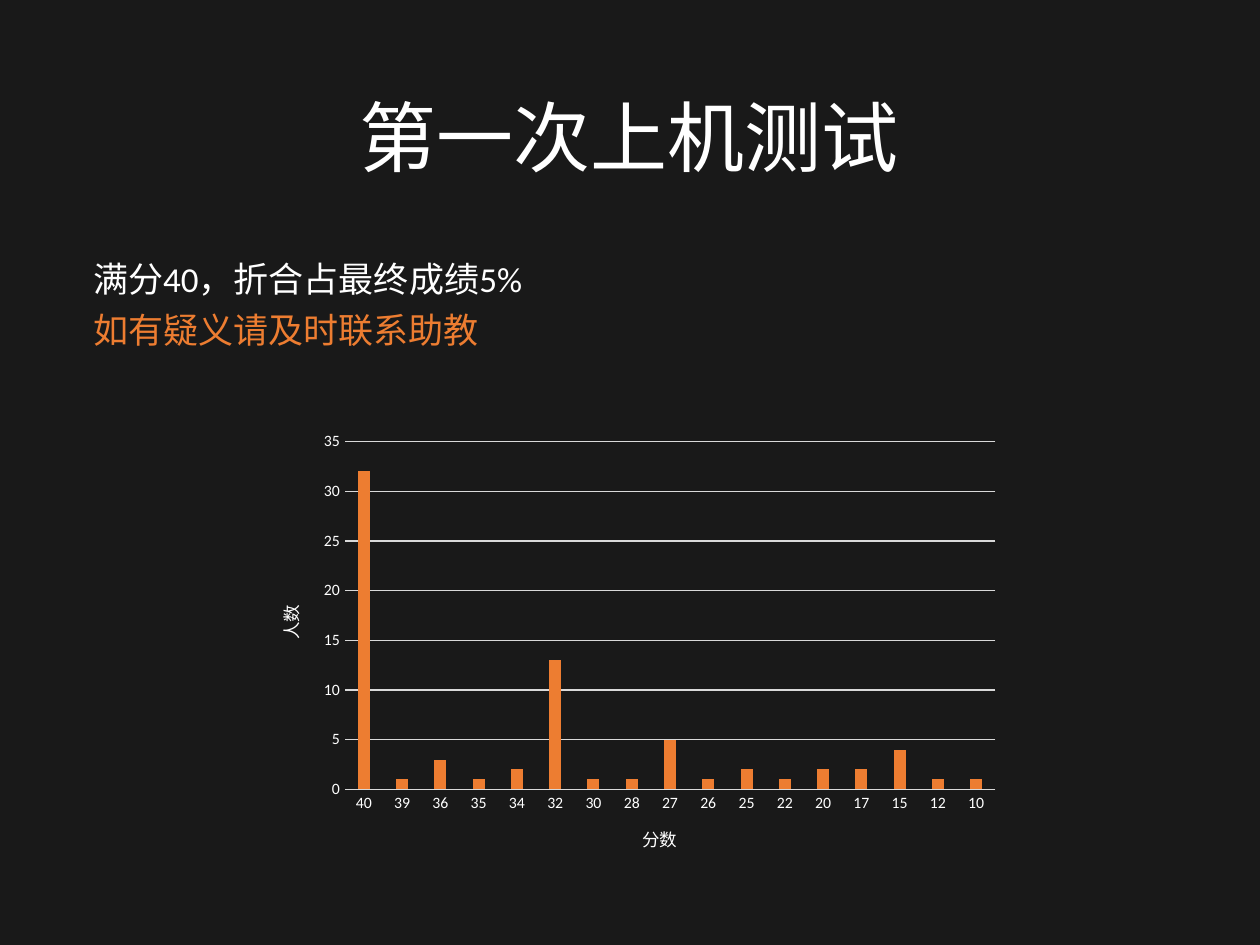
from pptx import Presentation
from pptx.chart.data import CategoryChartData
from pptx.dml.color import RGBColor
from pptx.enum.chart import XL_CHART_TYPE, XL_TICK_MARK
from pptx.enum.text import MSO_ANCHOR, PP_ALIGN
from pptx.util import Inches, Pt

COLUMN = XL_CHART_TYPE.COLUMN_CLUSTERED
NO_TICK = XL_TICK_MARK.NONE
MIDDLE = MSO_ANCHOR.MIDDLE
LEFT, CENTER = PP_ALIGN.LEFT, PP_ALIGN.CENTER

WIDE, HIGH = 10, 7.5
FACE = "Calibri"
DARK, WHITE, GRAY, ORANGE = "191919", "FFFFFF", "D9D9D9", "ED7D31"

SCORES = [40, 39, 36, 35, 34, 32, 30, 28, 27, 26, 25, 22, 20, 17, 15, 12, 10]
COUNTS = [32, 1, 3, 1, 2, 13, 1, 1, 5, 1, 2, 1, 2, 2, 4, 1, 1]


def paint(color, code):
    color.rgb = RGBColor.from_string(code)


def fill_in(fill, code):
    fill.solid()
    paint(fill.fore_color, code)


def set_font(font, size, code=WHITE):
    font.name = FACE
    font.size = Pt(size)
    font.bold = False
    paint(font.color, code)


def set_line(line, code):
    line.width = Pt(0.75)
    paint(line.color, code)


def add_text(slide, box, rows, size, space, align):
    frame = slide.shapes.add_textbox(*map(Inches, box)).text_frame
    frame.word_wrap = True
    frame.vertical_anchor = MIDDLE
    for i, (words, code) in enumerate(rows):
        para = frame.add_paragraph() if i else frame.paragraphs[0]
        para.text = words
        para.alignment = align
        para.line_spacing = space
        set_font(para.font, size, code)


def style_axis(axis, title):
    axis.major_tick_mark = axis.minor_tick_mark = NO_TICK
    set_font(axis.tick_labels.font, 9)
    frame = axis.axis_title.text_frame
    frame.text = title
    set_font(frame.paragraphs[0].font, 10)


def add_bars(slide, box):
    data = CategoryChartData()
    data.categories = [str(score) for score in SCORES]
    data.add_series("人数", COUNTS)
    chart = slide.shapes.add_chart(COLUMN, *map(Inches, box), data).chart
    chart.has_legend = chart.has_title = False
    set_font(chart.font, 10)
    plot = chart.plots[0]
    plot.gap_width, plot.overlap = 219, -27
    plot.vary_by_categories = False
    fill_in(plot.series[0].format.fill, ORANGE)
    across, up = chart.category_axis, chart.value_axis
    style_axis(across, "分数")
    style_axis(up, "人数")
    set_line(across.format.line, GRAY)
    up.format.line.fill.background()
    set_line(up.major_gridlines.format.line, GRAY)
    up.minimum_scale, up.maximum_scale, up.major_unit = 0, 35, 5


def main():
    deck = Presentation()
    deck.slide_width, deck.slide_height = Inches(WIDE), Inches(HIGH)
    slide = deck.slides.add_slide(deck.slide_layouts[6])
    fill_in(slide.background.fill, DARK)
    add_text(slide, (2.72, 0.22, 4.55, 1.81),
             [("第一次上机测试", WHITE)], 44, 0.9, CENTER)
    add_bars(slide, (1.99, 3.36, 6.03, 3.61))
    add_text(slide, (0.64, 1.93, 3.66, 0.9),
             [("满分40，折合占最终成绩5%", WHITE),
              ("如有疑义请及时联系助教", ORANGE)], 20, 1.2, LEFT)
    deck.save("out.pptx")


if __name__ == "__main__":
    main()
